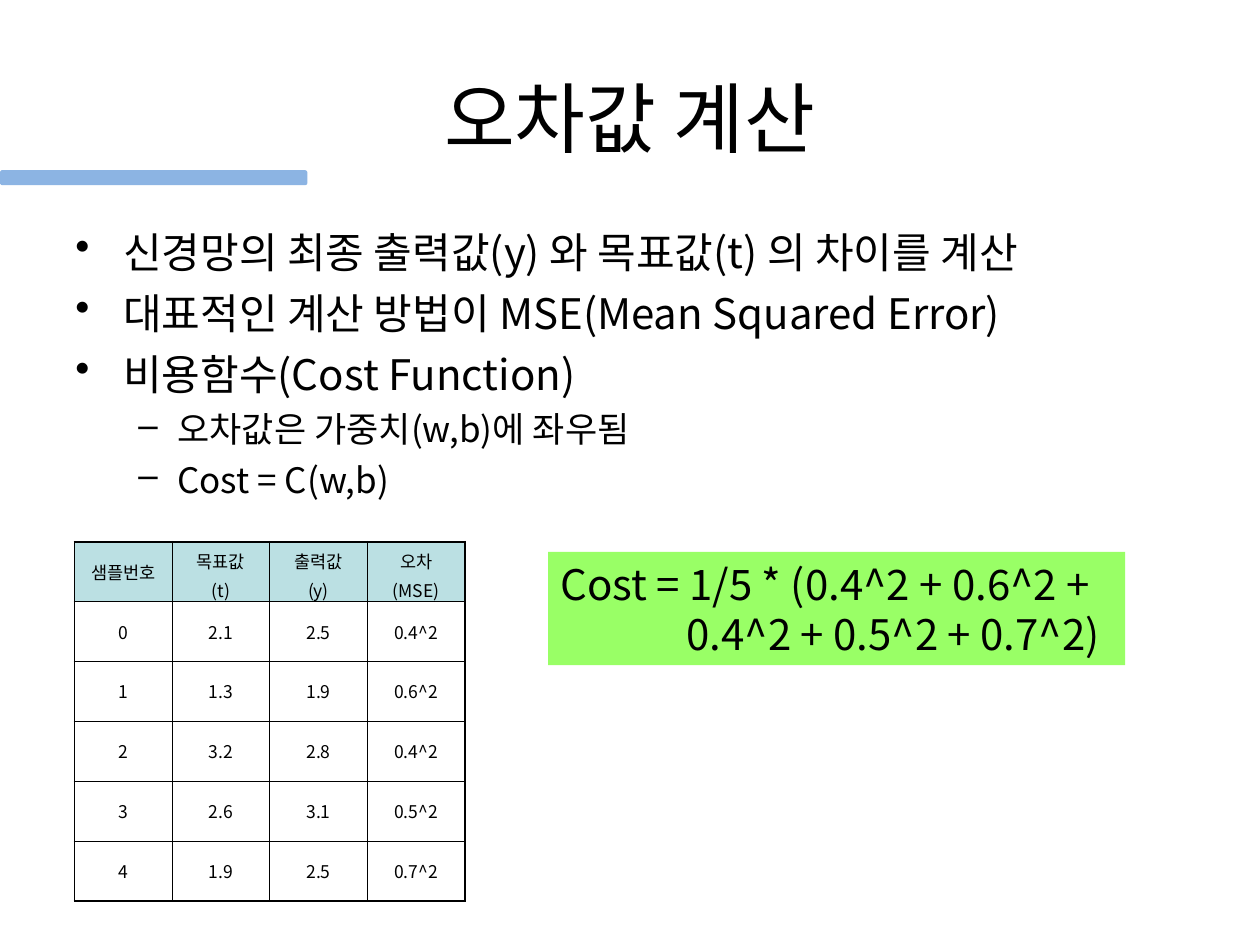
from lxml.etree import SubElement
from pptx import Presentation
from pptx.dml.color import RGBColor
from pptx.enum.shapes import MSO_SHAPE
from pptx.enum.text import MSO_ANCHOR, PP_ALIGN
from pptx.oxml.ns import qn
from pptx.util import Inches, Pt

CENTER, LEFT = PP_ALIGN.CENTER, PP_ALIGN.LEFT
MIDDLE = MSO_ANCHOR.MIDDLE
RECT, ROUND = MSO_SHAPE.RECTANGLE, MSO_SHAPE.ROUNDED_RECTANGLE
FONT = "Noto Sans CJK KR"
HEX = {"ink": "000000", "bar": "8CB4E3", "head": "BBE0E3", "cost": "99FF66"}
RGB = {name: RGBColor.from_string(value) for name, value in HEX.items()}

deck = Presentation()
deck.slide_width, deck.slide_height = Inches(10), Inches(7.5)
slide = deck.slides.add_slide(deck.slide_layouts[6])
shapes = slide.shapes


def write(frame, text, size, align=LEFT, before=0, left=0, hang=0, mark=None):
    """Add one paragraph, filling the empty first one if there is one."""
    para = frame.paragraphs[0] if not frame.text else frame.add_paragraph()
    para.alignment, para.space_before = align, Pt(before)
    props = para._p.get_or_add_pPr()
    props.set("marL", str(Inches(left)))
    props.set("indent", str(-Inches(hang)))
    if mark:
        SubElement(props, qn("a:buChar"), char=mark)
    run = para.add_run()
    run.text = text
    run.font.size, run.font.name = Pt(size), FONT
    run.font.color.rgb = RGB["ink"]
    SubElement(run._r.get_or_add_rPr(), qn("a:ea"), typeface=FONT)


def block(kind, color, *box):
    shape = shapes.add_shape(kind, *map(Inches, box))
    shape.shadow.inherit = False
    shape.fill.solid()
    shape.fill.fore_color.rgb = RGB[color]
    shape.line.fill.background()
    return shape


# Title and bullets
title = shapes.add_textbox(*map(Inches, (0.5, 0.3, 9, 1.25))).text_frame
title.word_wrap, title.vertical_anchor = True, MIDDLE
write(title, "오차값 계산", 44, align=CENTER)

body = shapes.add_textbox(*map(Inches, (0.5, 1.75, 9, 4.95))).text_frame
body.word_wrap = True
top = dict(size=24, before=6, left=0.38, hang=0.38, mark="•")
sub = dict(size=20, before=5, left=0.81, hang=0.31, mark="–")
for text, level in [
    ("신경망의 최종 출력값(y) 와 목표값(t) 의 차이를 계산", top),
    ("대표적인 계산 방법이 MSE(Mean Squared Error)", top),
    ("비용함수(Cost Function)", top),
    ("오차값은 가중치(w,b)에 좌우됨", sub),
    ("Cost = C(w,b)", sub),
]:
    write(body, text, **level)

block(ROUND, "bar", 0, 1.35, 2.44, 0.12)

# Sample table
rows = [
    ("샘플번호", "목표값\n(t)", "출력값\n(y)", "오차\n(MSE)"),
    ("0", "2.1", "2.5", "0.4^2"),
    ("1", "1.3", "1.9", "0.6^2"),
    ("2", "3.2", "2.8", "0.4^2"),
    ("3", "2.6", "3.1", "0.5^2"),
    ("4", "1.9", "2.5", "0.7^2"),
]
last_row, last_col = len(rows) - 1, len(rows[0]) - 1
table = shapes.add_table(len(rows), len(rows[0]), *map(Inches, (0.59, 4.3, 3.1, 2.85))).table
table.first_row = table.horz_banding = False
for r, row in enumerate(rows):
    for c, text in enumerate(row):
        cell = table.cell(r, c)
        cell.vertical_anchor = MIDDLE
        for line in text.split("\n"):
            write(cell.text_frame, line, 10, align=CENTER, before=2.5)
        props = cell._tc.get_or_add_tcPr()
        outer = {"L": c == 0, "R": c == last_col, "T": r == 0, "B": r == last_row}
        for side, edge in outer.items():
            border = SubElement(props, qn("a:ln" + side), w=str(Pt(1.08 if edge else 0.45)))
            fill = SubElement(border, qn("a:solidFill"))
            SubElement(fill, qn("a:srgbClr"), val=HEX["ink"])
        if r == 0:
            cell.fill.solid()
            cell.fill.fore_color.rgb = RGB["head"]
        else:
            cell.fill.background()

# Cost formula
cost = block(RECT, "cost", 4.35, 4.38, 4.58, 0.9).text_frame
cost.word_wrap = False
write(cost, "Cost = 1/5 * (0.4^2 + 0.6^2 +", 24)
write(cost, "0.4^2 + 0.5^2 + 0.7^2)", 24, left=1)

deck.save("out.pptx")
